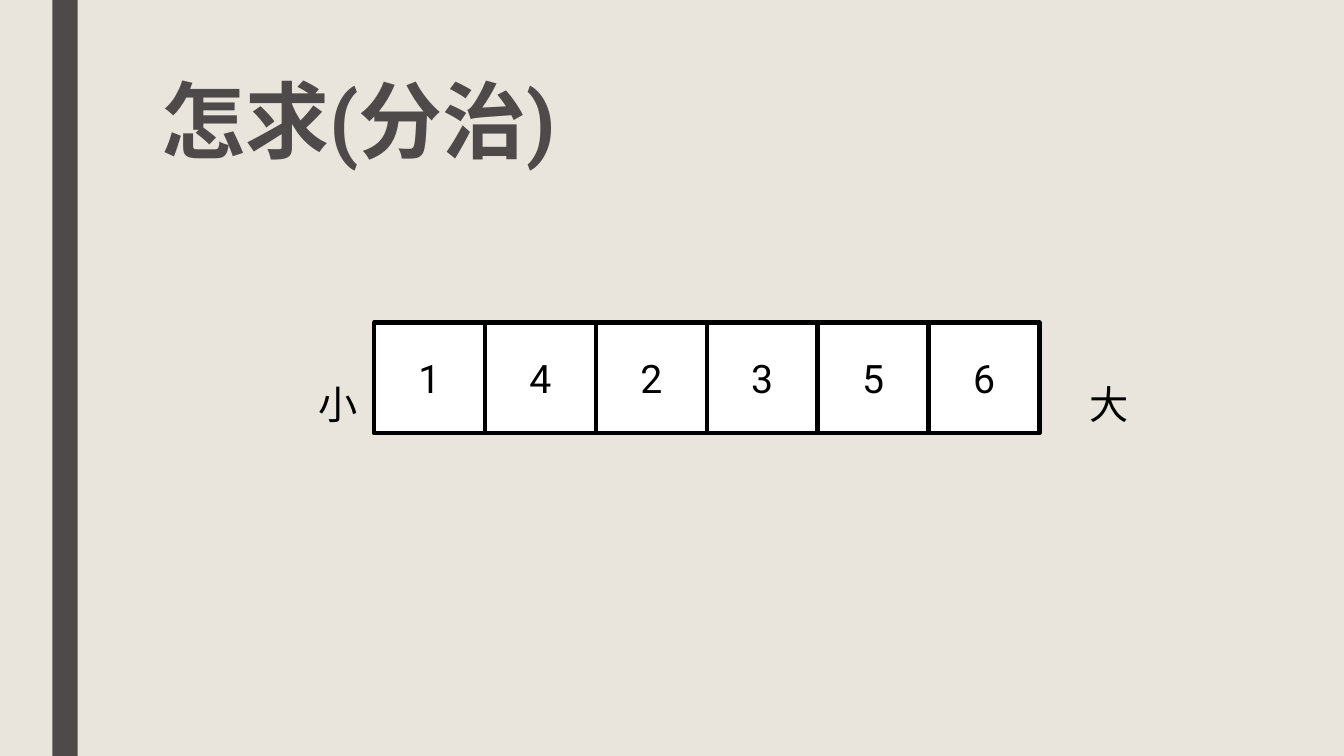
from pptx import Presentation
from pptx.dml.color import RGBColor
from pptx.enum.shapes import MSO_SHAPE
from pptx.enum.text import MSO_ANCHOR, MSO_AUTO_SIZE, PP_ALIGN
from pptx.util import Inches, Pt

RECT = MSO_SHAPE.RECTANGLE
TOP, MIDDLE = MSO_ANCHOR.TOP, MSO_ANCHOR.MIDDLE
LEFT, CENTER = PP_ALIGN.LEFT, PP_ALIGN.CENTER
GROW, FIXED = MSO_AUTO_SIZE.SHAPE_TO_FIT_TEXT, MSO_AUTO_SIZE.NONE
DARK, BLACK, WHITE, CREAM = "4E4A4A", "000000", "FFFFFF", "E9E5DC"


def paint(fill, color):
    fill.solid()
    fill.fore_color.rgb = RGBColor.from_string(color)


def write(shape, text, size, color, align, bold=False):
    para = shape.text_frame.paragraphs[0]
    para.text = text
    para.alignment = align
    para.font.name = "Roboto"
    para.font.size = Pt(size)
    para.font.bold = bold
    paint(para.font.fill, color)
    return para


deck = Presentation()
deck.slide_width, deck.slide_height = Inches(13.33), Inches(7.5)
slide = deck.slides.add_slide(deck.slide_layouts[5])
paint(slide.background.fill, CREAM)

bar = slide.shapes.add_shape(RECT, Inches(0.52), 0, Inches(0.25), Inches(7.5))
bar.shadow.inherit = False
paint(bar.fill, DARK)
bar.line.fill.background()

title = slide.shapes.title
title.left, title.top = Inches(1.5), Inches(0.75)
title.width, title.height = Inches(10.5), Inches(1.62)
title.text_frame.vertical_anchor = TOP
title.text_frame.auto_size = FIXED
write(title, "怎求(分治)", 60, DARK, LEFT, bold=True).line_spacing = 0.89

# Row of touching number cells
side = 1.1
for i, digit in enumerate("142356"):
    cell = slide.shapes.add_shape(
        RECT, Inches(3.71 + i * side), Inches(3.2), Inches(side), Inches(side))
    cell.shadow.inherit = False
    paint(cell.fill, WHITE)
    paint(cell.line.fill, BLACK)
    cell.line.width = Pt(3)
    cell.text_frame.vertical_anchor = MIDDLE
    write(cell, digit, 28, BLACK, CENTER)

# Labels at the small and large ends
for text, x in (("小", 3.06), ("大", 10.71)):
    label = slide.shapes.add_textbox(
        Inches(x), Inches(3.72), Inches(0.59), Inches(0.57))
    label.text_frame.word_wrap = False
    label.text_frame.auto_size = GROW
    write(label, text, 28, BLACK, LEFT)

deck.save("out.pptx")
